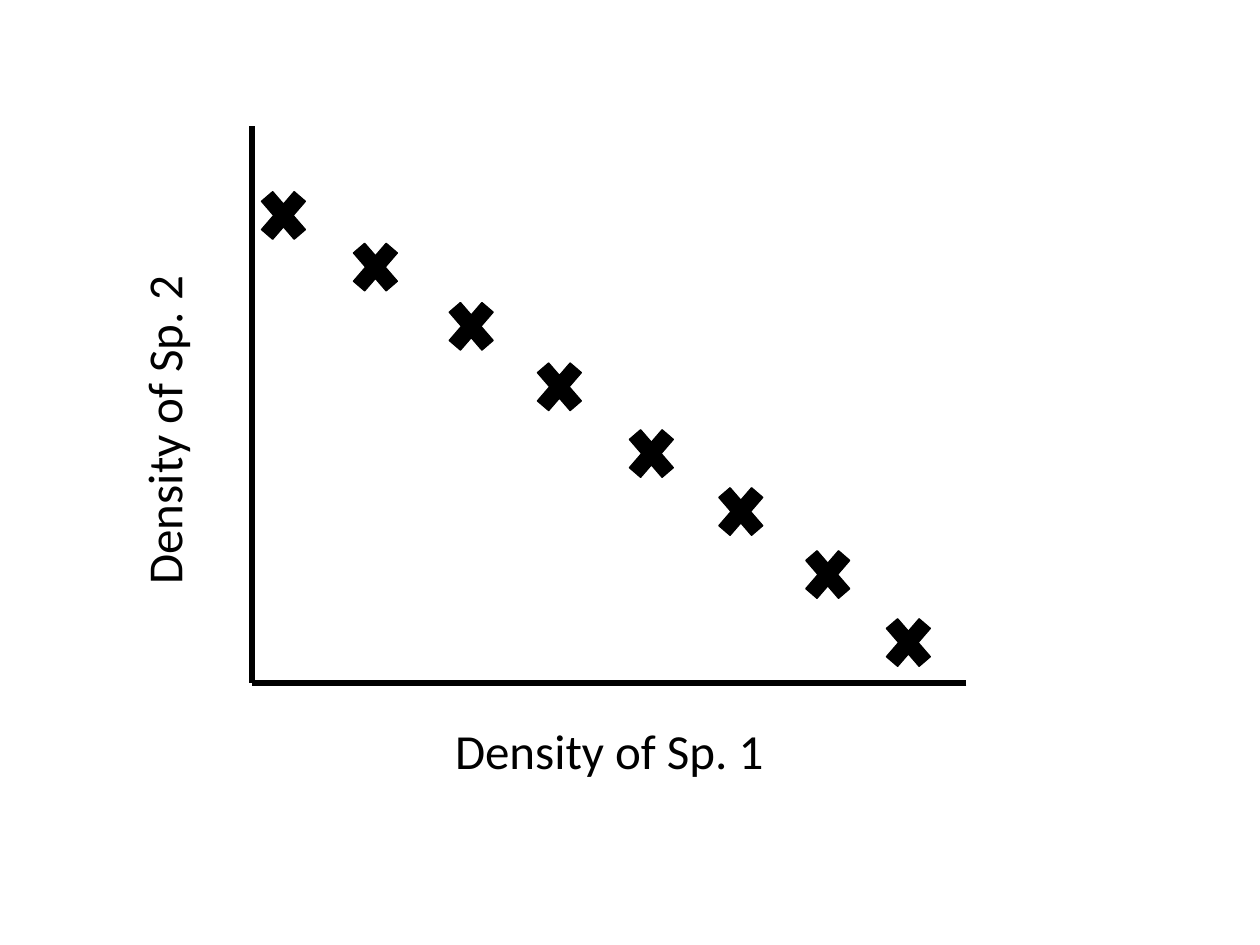
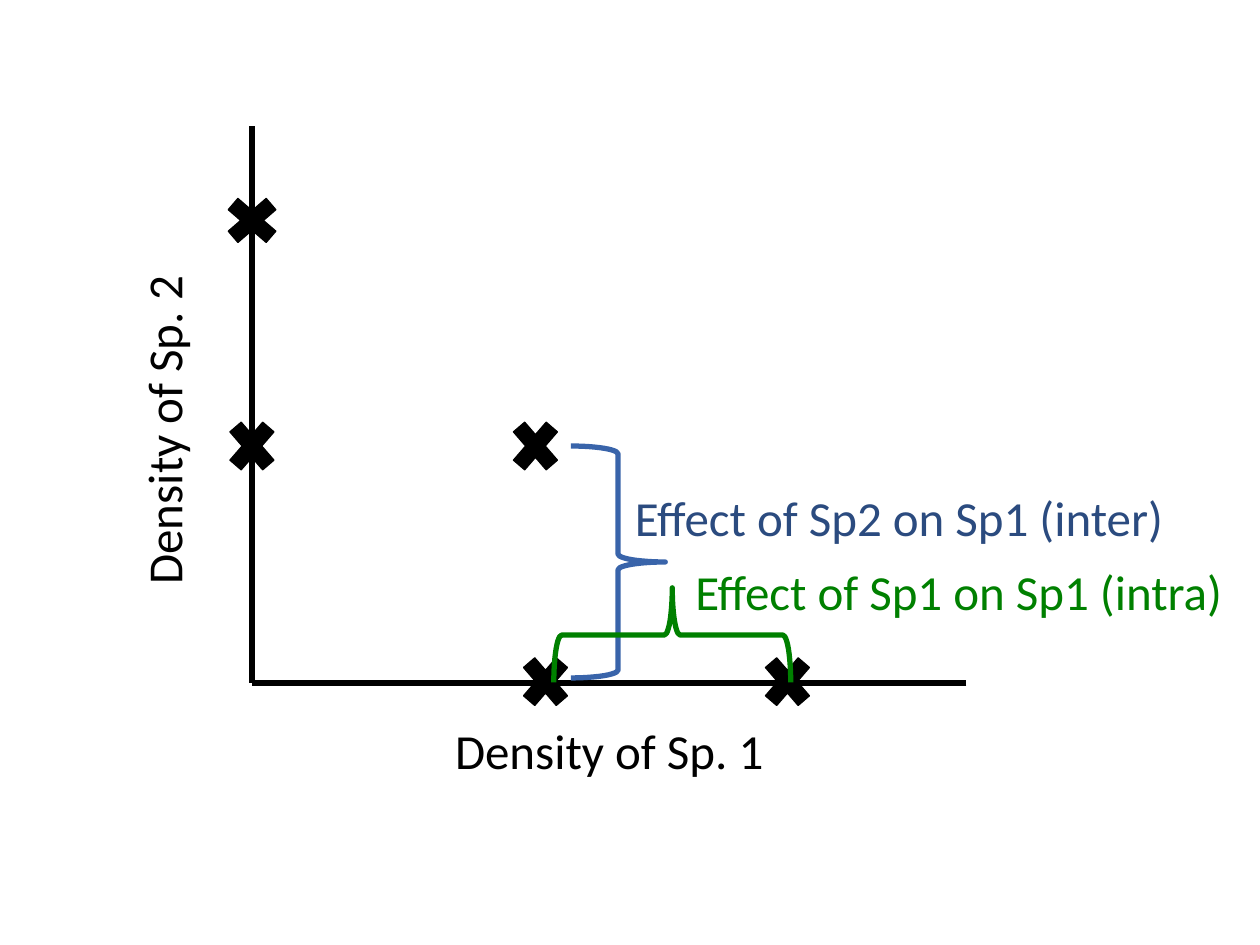
"""Build two slides that plot the density of two competing species."""
from typing import NamedTuple

from lxml import etree
from pptx import Presentation
from pptx.dml.color import RGBColor
from pptx.enum import shapes, text
from pptx.oxml import ns
from pptx.slide import Slide
from pptx.util import Inches, Pt

BLACK = RGBColor(0x00, 0x00, 0x00)
INTER_BLUE = RGBColor(0x39, 0x64, 0xAA)
INTER_TEXT = RGBColor(0x2B, 0x4B, 0x7F)
INTRA_GREEN = RGBColor(0x00, 0x80, 0x00)
FONT = "Calibri"
MARK_WIDTH, MARK_HEIGHT = 0.5, 0.58
LABEL_HEIGHT = 0.57


class Axis(NamedTuple):
    x1: float
    y1: float
    x2: float
    y2: float


class Mark(NamedTuple):
    left: float
    top: float
    rotation: float = 0


class Brace(NamedTuple):
    left: float
    top: float
    width: float
    height: float
    rotation: float
    color: RGBColor


class Label(NamedTuple):
    wording: str
    left: float
    top: float
    width: float
    color: RGBColor = BLACK
    rotation: float = 0
    alignment: text.PP_ALIGN = text.PP_ALIGN.CENTER


AXES = [Axis(2, 1, 2, 5.42), Axis(7.67, 5.42, 2, 5.42)]
AXIS_LABELS = [
    Label("Density of Sp. 1", 2.5, 5.67, 4.67),
    Label("Density of Sp. 2", -1.04, 3.13, 4.67, rotation=270),
]
TRADE_OFF_MARKS = [
    Mark(2, 1.42), Mark(2.73, 1.83), Mark(3.49, 2.3), Mark(4.19, 2.78),
    Mark(4.92, 3.31), Mark(5.63, 3.77), Mark(6.32, 4.27), Mark(6.96, 4.81),
]
EFFECT_MARKS = [
    Mark(6, 5.12), Mark(4.08, 5.12), Mark(1.75, 1.46, 90),
    Mark(4, 3.25), Mark(1.75, 3.25),
]
EFFECT_BRACES = [
    Brace(4.53, 3.54, 0.75, 1.84, 180, INTER_BLUE),
    Brace(4.96, 4.1, 0.75, 1.88, 90, INTRA_GREEN),
]
EFFECT_LABELS = [
    Label("Effect of Sp1 on Sp1 (intra)", 5.42, 4.41, 4.88, INTRA_GREEN,
          alignment=text.PP_ALIGN.LEFT),
    Label("Effect of Sp2 on Sp1 (inter)", 4.94, 3.82, 4.89, INTER_TEXT,
          alignment=text.PP_ALIGN.LEFT),
]


def draw_axis(slide: Slide, axis: Axis) -> None:
    """Draw one plain axis line."""
    line = slide.shapes.add_connector(
        shapes.MSO_CONNECTOR.STRAIGHT, *(Inches(value) for value in axis))
    line.line.color.rgb = BLACK
    line.line.width = Pt(3)
    etree.SubElement(line._element.spPr, ns.qn("a:effectLst"))


def draw_mark(slide: Slide, mark: Mark) -> None:
    """Draw one black cross for a density observation."""
    cross = slide.shapes.add_shape(
        shapes.MSO_SHAPE.MATH_MULTIPLY, Inches(mark.left), Inches(mark.top),
        Inches(MARK_WIDTH), Inches(MARK_HEIGHT))
    cross.rotation = mark.rotation
    cross.shadow.inherit = False
    cross.fill.solid()
    cross.fill.fore_color.rgb = BLACK
    cross.line.color.rgb = BLACK
    cross.line.width = Pt(0.75)


def draw_brace(slide: Slide, brace: Brace) -> None:
    """Draw one unfilled brace that spans an effect."""
    span = slide.shapes.add_shape(
        shapes.MSO_SHAPE.LEFT_BRACE, Inches(brace.left), Inches(brace.top),
        Inches(brace.width), Inches(brace.height))
    span.rotation = brace.rotation
    span.shadow.inherit = False
    span.fill.background()
    span.line.color.rgb = brace.color
    span.line.width = Pt(3)


def draw_label(slide: Slide, label: Label) -> None:
    """Write one line of text."""
    box = slide.shapes.add_textbox(
        Inches(label.left), Inches(label.top), Inches(label.width), Inches(LABEL_HEIGHT))
    box.rotation = label.rotation
    frame = box.text_frame
    frame.word_wrap = True
    frame.auto_size = text.MSO_AUTO_SIZE.SHAPE_TO_FIT_TEXT
    paragraph = frame.paragraphs[0]
    paragraph.text = label.wording
    paragraph.alignment = label.alignment
    paragraph.font.name = FONT
    paragraph.font.size = Pt(28)
    paragraph.font.color.rgb = label.color


def add_density_slide(deck: Presentation, marks: list[Mark]) -> Slide:
    """Add a slide with the shared axes, their labels and the given marks."""
    slide = deck.slides.add_slide(deck.slide_layouts[6])
    for axis in AXES:
        draw_axis(slide, axis)
    for mark in marks:
        draw_mark(slide, mark)
    for label in AXIS_LABELS:
        draw_label(slide, label)
    return slide


def main() -> None:
    """Build and save the presentation."""
    deck = Presentation()
    deck.slide_width, deck.slide_height = Inches(10), Inches(7.5)
    add_density_slide(deck, TRADE_OFF_MARKS)
    effects = add_density_slide(deck, EFFECT_MARKS)
    for brace in EFFECT_BRACES:
        draw_brace(effects, brace)
    for label in EFFECT_LABELS:
        draw_label(effects, label)
    deck.save("out.pptx")


if __name__ == "__main__":
    main()
